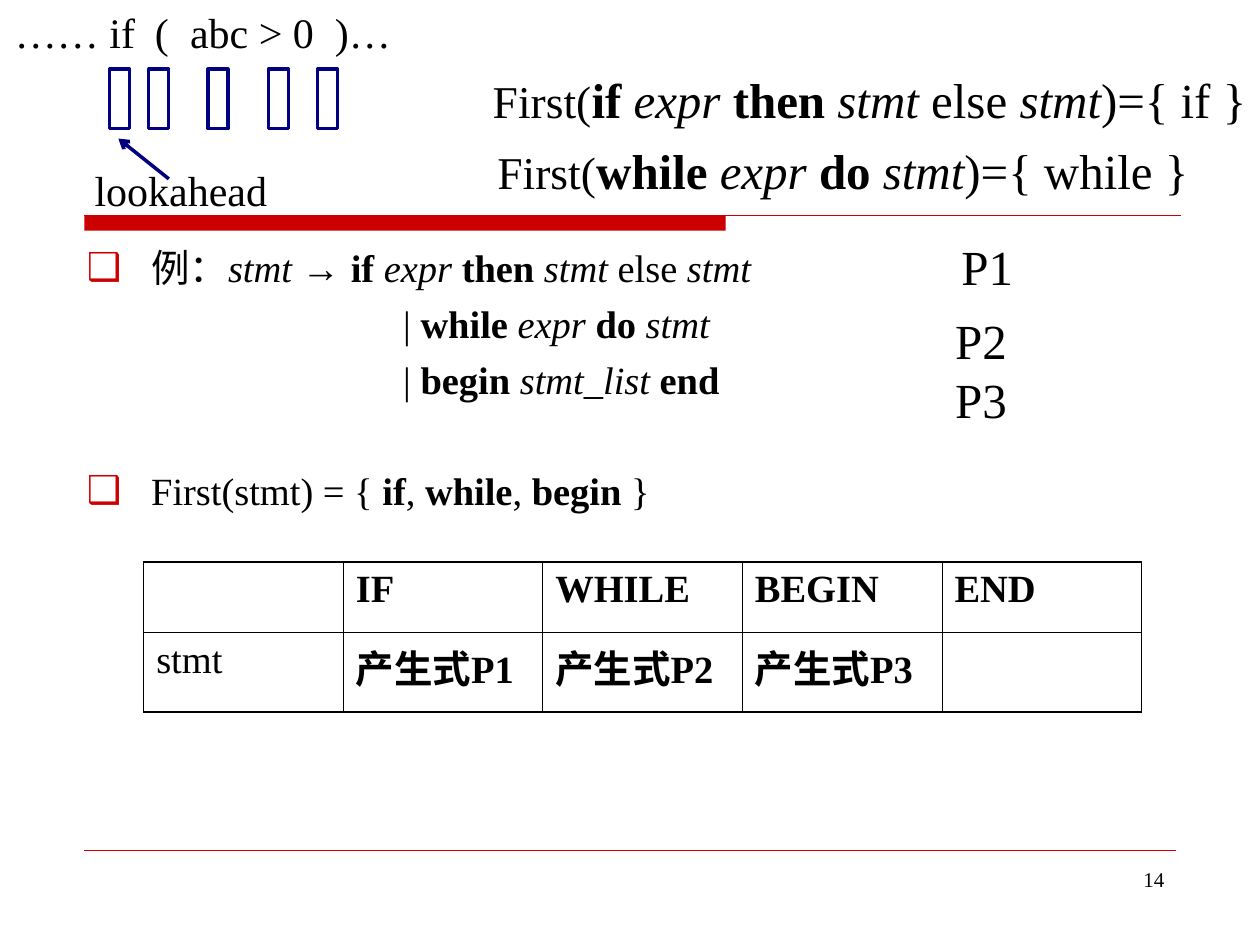
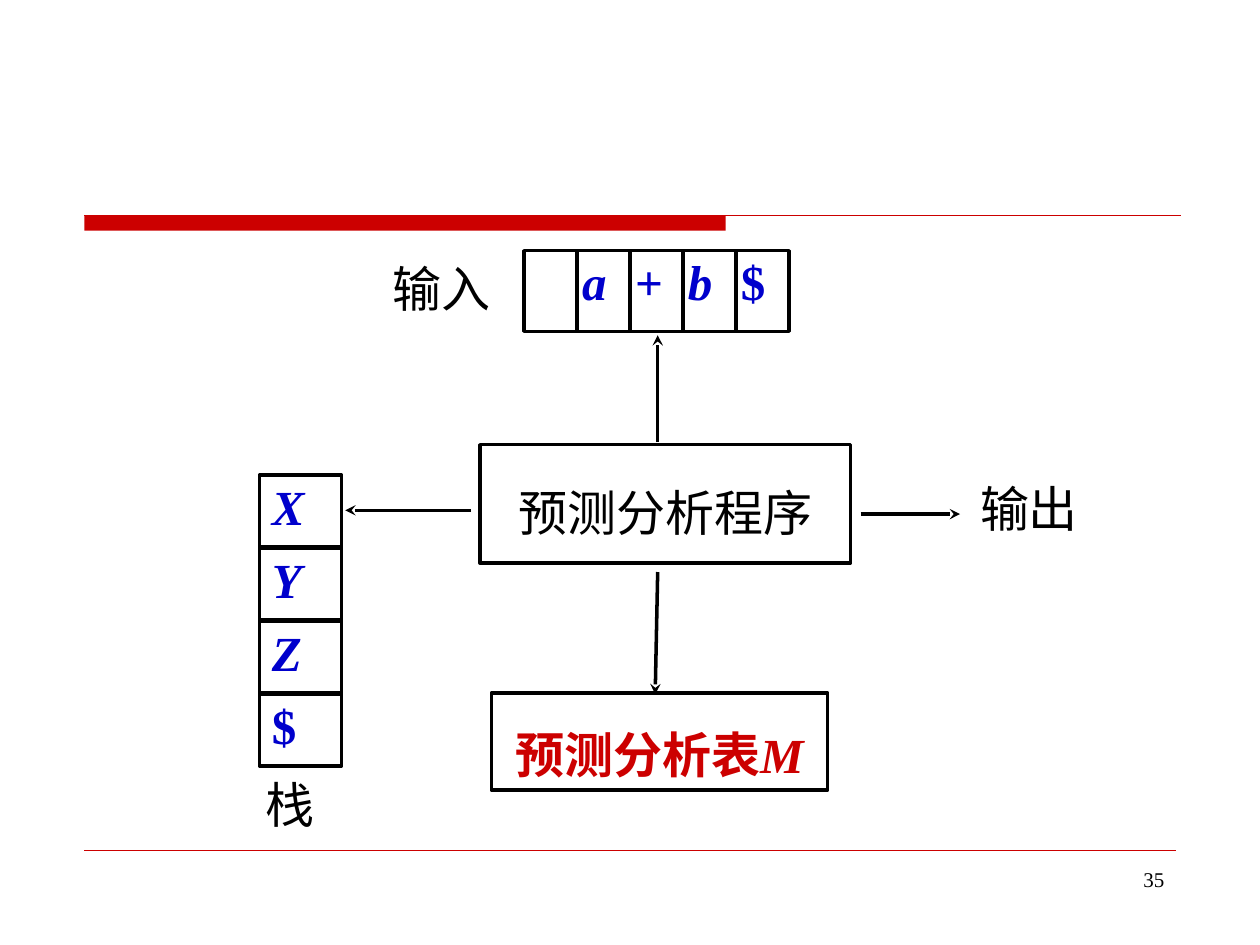
from lxml import etree
from pptx import Presentation
from pptx.dml.color import RGBColor
from pptx.enum.shapes import MSO_CONNECTOR, MSO_SHAPE
from pptx.enum.text import MSO_ANCHOR, MSO_AUTO_SIZE, PP_ALIGN
from pptx.oxml.ns import qn
from pptx.util import Inches, Pt

RECTANGLE = MSO_SHAPE.RECTANGLE
STRAIGHT = MSO_CONNECTOR.STRAIGHT
TOP, BOTTOM = MSO_ANCHOR.TOP, MSO_ANCHOR.BOTTOM
LEFT, CENTER, RIGHT = PP_ALIGN.LEFT, PP_ALIGN.CENTER, PP_ALIGN.RIGHT

FONT = "Times New Roman"
BLACK, RED, NAVY, BLUE = "000000", "CC0000", "000080", "0000CC"
TEXT_INSETS = (0.1, 0.05, 0.1, 0.05)
THICK, THIN = 1.08, 0.45

# Each span is (text, style); "b" is bold and "i" is italic.
IF_RULE = [("if ", "b"), ("expr ", "i"), ("then ", "b"), ("stmt", "i"),
           (" else ", ""), ("stmt", "i")]
WHILE_RULE = [("while ", "b"), ("expr ", "i"), ("do ", "b"), ("stmt", "i")]
BEGIN_RULE = [("begin ", "b"), ("stmt_list ", "i"), ("end", "b")]


def rgb(value):
    return RGBColor.from_string(value)


def set_values(target, **values):
    for name, value in values.items():
        setattr(target, name, value)


def add_element(parent, tag, **attributes):
    """Append an XML element such as a:tailEnd and return it."""
    element = etree.SubElement(parent, qn(tag))
    for name, value in attributes.items():
        element.set(name, str(value))
    return element


def add_spans(para, spans, size, color=BLACK):
    """Add runs; a third item in a span replaces size or font name."""
    for text, style, *changes in spans:
        run = para.add_run()
        run.text = text
        values = {"name": FONT, "size": Pt(size), "bold": "b" in style,
                  "italic": "i" in style}
        if changes:
            values.update(changes[0])
        set_values(run.font, **values)
        run.font.color.rgb = rgb(color)


def format_frame(frame, insets=TEXT_INSETS, anchor=TOP, wrap=True):
    left, top, right, bottom = map(Inches, insets)
    set_values(frame, margin_left=left, margin_top=top, margin_right=right,
               margin_bottom=bottom, vertical_anchor=anchor,
               word_wrap=wrap, auto_size=MSO_AUTO_SIZE.NONE)


def add_text(page, place, spans, size, align=LEFT, anchor=TOP, wrap=True):
    box = page.shapes.add_textbox(*map(Inches, place))
    format_frame(box.text_frame, anchor=anchor, wrap=wrap)
    para = box.text_frame.paragraphs[0]
    para.alignment = align
    add_spans(para, spans, size)
    return para


def add_box(page, place, color=BLACK):
    """Add an outlined rectangle without fill."""
    box = page.shapes.add_shape(RECTANGLE, *map(Inches, place))
    box.shadow.inherit = False
    box.fill.background()
    box.line.color.rgb = rgb(color)
    box.line.width = Pt(2)
    return box


def add_label_box(page, place, spans, color=BLACK, insets=TEXT_INSETS,
                  align=LEFT, spacing=1.0):
    box = add_box(page, place)
    format_frame(box.text_frame, insets)
    para = box.text_frame.paragraphs[0]
    set_values(para, alignment=align, line_spacing=spacing)
    add_spans(para, spans, 28, color)


def add_line(page, start, end, color=BLACK, width=2, head=None):
    line = page.shapes.add_connector(STRAIGHT, *map(Inches, start + end))
    line.line.color.rgb = rgb(color)
    line.line.width = Pt(width)
    properties = line.element.spPr
    if head:
        add_element(properties.find(qn("a:ln")), "a:tailEnd", type=head)
    add_element(properties, "a:effectLst")


def add_frame(page, number):
    """Draw the band, the rules and the page number that all slides share."""
    band = page.shapes.add_shape(
        RECTANGLE, *map(Inches, (0.67, 1.71, 5.09, 0.12)))
    band.shadow.inherit = False
    band.fill.solid()
    band.fill.fore_color.rgb = rgb(RED)
    band.line.fill.background()
    add_line(page, (0.67, 1.71), (9.37, 1.71), RED, 0.75)
    add_line(page, (0.67, 6.75), (9.33, 6.75), RED, 0.25)
    add_text(page, (7.17, 6.83, 2.17, 0.52), [(number, "")], 12, RIGHT)


def set_bullet(para, has_bullet):
    properties = para._p.get_or_add_pPr()
    indent = 0.51 if has_bullet else 2.51
    properties.set("marL", str(Inches(indent)))
    properties.set("indent", str(-Inches(0.51) if has_bullet else 0))
    if has_bullet:
        add_element(add_element(properties, "a:buClr"), "a:srgbClr", val=RED)
        add_element(properties, "a:buChar", char="❑")
    else:
        add_element(properties, "a:buNone")


def fill_grammar(body):
    set_values(body, left=Inches(0.59), top=Inches(1.94),
               width=Inches(6.9), height=Inches(2.36))
    format_frame(body.text_frame, (0.1, 0, 0.1, 0))
    first_set = [("First(stmt) = { ", ""), ("if", "b"), (", ", ""),
                 ("while", "b"), (", ", ""), ("begin", "b"), (" }", "")]
    lines = [
        (True, 0, [("例：", ""), ("stmt ", "i"),
                   ("→ ", "", {"name": "Arial"})] + IF_RULE),
        (False, 5.5, [("| ", "")] + WHILE_RULE),
        (False, 5.5, [("| ", "")] + BEGIN_RULE),
        (True, 37, first_set),
    ]
    for index, (has_bullet, gap, spans) in enumerate(lines):
        frame = body.text_frame
        para = frame.add_paragraph() if index else frame.paragraphs[0]
        set_bullet(para, has_bullet)
        para.space_before = Pt(gap)
        add_spans(para, spans, 22)


def set_borders(cell, widths):
    properties = cell._tc.get_or_add_tcPr()
    for side, width in zip("LRTB", widths):
        line = add_element(properties, "a:ln" + side, w=Pt(width))
        add_element(add_element(line, "a:solidFill"), "a:srgbClr", val=BLACK)


def add_parse_table(page):
    rows = [["", "IF", "WHILE", "BEGIN", "END"],
            ["stmt", "产生式P1", "产生式P2", "产生式P3", ""]]
    row_heights = (0.56, 0.63)
    place = map(Inches, (1.14, 4.46, 7.92, sum(row_heights)))
    table = page.shapes.add_table(len(rows), len(rows[0]), *place).table
    set_values(table, first_row=False, horz_banding=False)
    for row, height in zip(table.rows, row_heights):
        row.height = Inches(height)
    last_row, last_column = len(rows) - 1, len(rows[0]) - 1
    for r, texts in enumerate(rows):
        for c, text in enumerate(texts):
            cell = table.cell(r, c)
            outer = (c == 0, c == last_column, r == 0, r == last_row)
            set_borders(cell, [THICK if edge else THIN for edge in outer])
            cell.fill.background()
            if text:
                style = "" if c == 0 else "b"
                add_spans(cell.text_frame.paragraphs[0], [(text, style)], 22)


def add_token_line(page):
    """Show the input text, its token boxes and the lookahead pointer."""
    para = add_text(page, (0.02, 0, 3.25, 0.5),
                    [("…… if\t(\tabc > 0\t)…", "")], 24)
    stops = add_element(para._p.get_or_add_pPr(), "a:tabLst")
    for position in (1.11, 1.39, 2.54):
        add_element(stops, "a:tab", pos=Inches(position), algn="l")
    add_line(page, (1.34, 1.42), (0.94, 1.1), NAVY, head="arrow")
    add_text(page, (0.65, 1.26, 1.57, 0.5), [("lookahead", "")], 24,
             CENTER, wrap=False)
    for left in (0.87, 1.18, 1.65, 2.13, 2.52):
        add_box(page, (left, 0.55, 0.16, 0.47), NAVY)


def build_first_sets(deck):
    page = deck.slides.add_slide(deck.slide_layouts[1])
    title = page.shapes.title.element
    title.getparent().remove(title)
    add_frame(page, "14")
    fill_grammar(page.placeholders[1])
    for name, left, top in (("P1", 7.53, 1.82), ("P2", 7.48, 2.41),
                            ("P3", 7.48, 2.88)):
        add_text(page, (left, top, 0.61, 0.57), [(name, "")], 28,
                 CENTER, BOTTOM, wrap=False)
    add_parse_table(page)
    add_token_line(page)
    opening = [("First(", "", {"size": Pt(26)})]
    add_text(page, (3.45, 0.5, 6.54, 0.57),
             opening + IF_RULE + [(")={ if }", "")], 28, RIGHT)
    add_text(page, (3.85, 1.07, 5.68, 0.57),
             opening + WHILE_RULE + [(")={ while }", "")], 28,
             CENTER, wrap=False)


def add_cells(page, symbols, first_place, step, insets):
    """Draw a run of equal boxes, each moved by step from the one before."""
    left, top, width, height = first_place
    for index, symbol in enumerate(symbols):
        place = (left + index * step[0], top + index * step[1], width, height)
        style = "bi" if symbol.isalpha() else "b"
        spans = [(symbol, style)] if symbol else []
        add_label_box(page, place, spans, BLUE, insets)


def build_parser_model(deck):
    page = deck.slides.add_slide(deck.slide_layouts[6])
    add_frame(page, "35")
    add_cells(page, ["", "a", "+", "b", "$"], (4.16, 1.99, 0.42, 0.64),
              (0.42, 0), (0.04, 0.01, 0.02, 0.01))
    add_cells(page, ["X", "Y", "Z", "$"], (2.06, 3.77, 0.65, 0.57),
              (0, 0.58), (0.1, 0.01, 0.1, 0.05))
    program_insets = (0.1, 0.11, 0.1, 0.05)
    add_label_box(page, (3.81, 3.53, 2.94, 0.94), [("预测分析程序", "")],
                  BLACK, program_insets, CENTER, 1.4)
    add_label_box(page, (3.9, 5.5, 2.67, 0.77),
                  [("预测分析表", "b"), ("M", "bi")],
                  RED, program_insets, CENTER, 1.3)
    for start, end in (((5.22, 3.51), (5.22, 2.66)),
                       ((5.22, 4.54), (5.2, 5.51)),
                       ((6.83, 4.08), (7.62, 4.08)),
                       ((3.74, 4.05), (2.74, 4.05))):
        add_line(page, start, end, head="stealth")
    for label, place in (("输入", (3.02, 2, 1.14, 0.71)),
                         ("输出", (7.68, 3.75, 1.13, 0.72)),
                         ("栈", (2.01, 6.1, 1.04, 0.72))):
        add_text(page, place, [(label, "")], 28)


def main():
    deck = Presentation()
    set_values(deck, slide_width=Inches(10), slide_height=Inches(7.5))
    build_first_sets(deck)
    build_parser_model(deck)
    deck.save("out.pptx")


if __name__ == "__main__":
    main()
